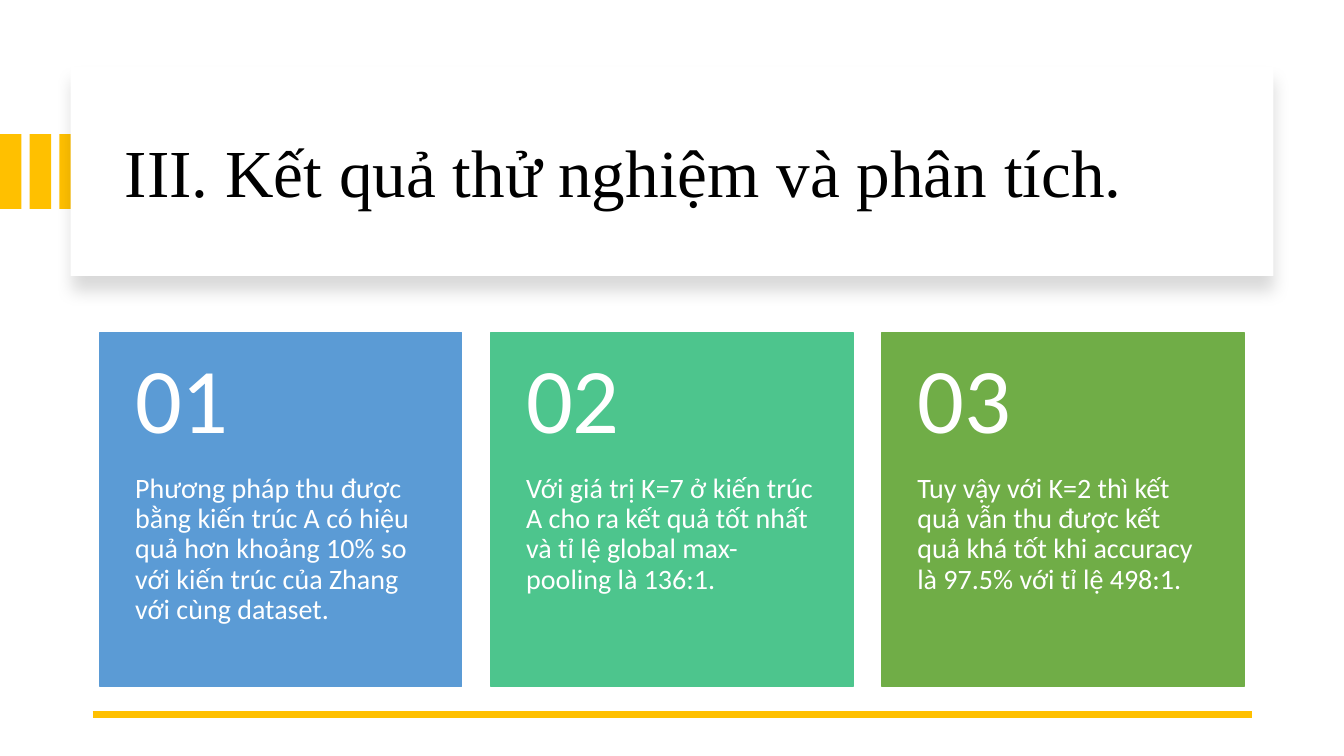
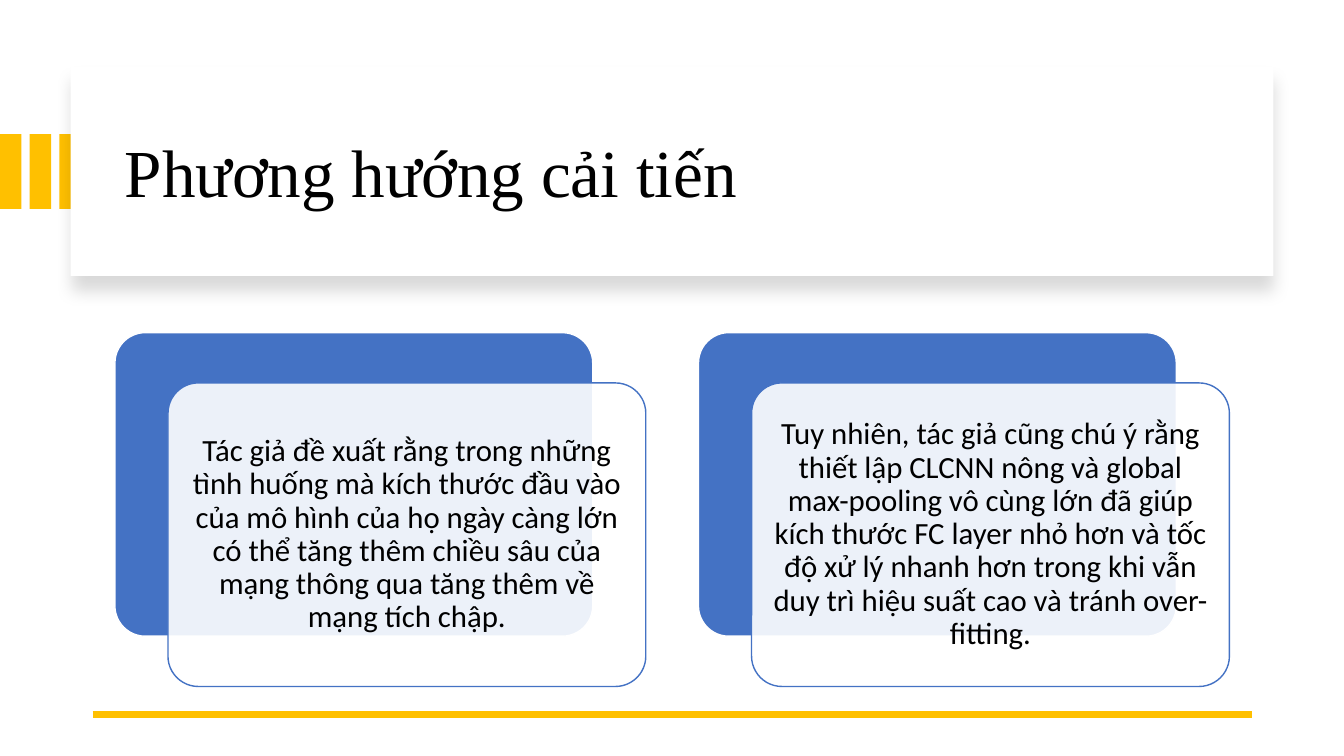
"""Builds two slides on test results and further work."""
from lxml.etree import SubElement as Sub
from pptx import Presentation
from pptx.dml.color import RGBColor
from pptx.enum.shapes import MSO_CONNECTOR as Link, MSO_SHAPE as Kind
from pptx.enum.text import MSO_ANCHOR as Anchor, PP_ALIGN as Align
from pptx.oxml.ns import qn
from pptx.util import Inches, Pt

WIDE, HIGH = Inches(13.33), Inches(7.5)

GOLD = RGBColor(0xFF, 0xC0, 0x00)
WHITE = RGBColor(0xFF, 0xFF, 0xFF)
BLACK = RGBColor(0x00, 0x00, 0x00)
SKY = RGBColor(0x5B, 0x9B, 0xD5)
MINT = RGBColor(0x4D, 0xC5, 0x8D)
LEAF = RGBColor(0x70, 0xAD, 0x47)
BLUE = RGBColor(0x44, 0x72, 0xC4)

SERIF, SANS = "Times New Roman", "Calibri"
TOP = 44

CARDS = [
    (SKY, "01", "Phương pháp thu được bằng kiến trúc A có hiệu quả hơn khoảng 10% "
                "so với kiến trúc của Zhang với cùng dataset."),
    (MINT, "02", "Với giá trị K=7 ở kiến trúc A cho ra kết quả tốt nhất "
                 "và tỉ lệ global max-pooling là 136:1."),
    (LEAF, "03", "Tuy vậy với K=2 thì kết quả vẫn thu được kết quả khá tốt "
                 "khi accuracy là 97.5% với tỉ lệ 498:1."),
]
PANELS = [
    "Tác giả đề xuất rằng trong những tình huống mà kích thước đầu vào "
    "của mô hình của họ ngày càng lớn có thể tăng thêm chiều sâu của mạng "
    "thông qua tăng thêm về mạng tích chập.",
    "Tuy nhiên, tác giả cũng chú ý rằng thiết lập CLCNN nông và global "
    "max-pooling vô cùng lớn đã giúp kích thước FC layer nhỏ hơn "
    "và tốc độ xử lý nhanh hơn trong khi vẫn duy trì hiệu suất cao "
    "và tránh over-fitting.",
]


def place(x, y, w, h):
    """Turn percentages of the slide into lengths."""
    return (int(WIDE * x / 100), int(HIGH * y / 100),
            int(WIDE * w / 100), int(HIGH * h / 100))


def add_box(slide, area, fill, edge=None, kind=Kind.RECTANGLE):
    """Add a filled shape without a shadow."""
    box = slide.shapes.add_shape(kind, *place(*area))
    box.shadow.inherit = False
    box.fill.solid()
    box.fill.fore_color.rgb = fill
    if edge is None:
        box.line.fill.background()
    else:
        box.line.color.rgb = edge
        box.line.width = Pt(1)
    if kind == Kind.ROUNDED_RECTANGLE:
        box.adjustments[0] = 0.1
    return box


def write(shape, text, size, color, font=SANS, pads=(0.1, 0.05, 0.1, 0.05),
          anchor=Anchor.MIDDLE, align=Align.LEFT):
    """Set one paragraph of text in a shape."""
    frame = shape.text_frame
    frame.word_wrap = True
    frame.vertical_anchor = anchor
    (frame.margin_left, frame.margin_top,
     frame.margin_right, frame.margin_bottom) = map(Inches, pads)
    para = frame.paragraphs[0]
    para.alignment = align
    para.line_spacing = 0.9
    run = para.add_run()
    run.text = text
    run.font.size = Pt(size)
    run.font.name = font
    run.font.color.rgb = color


def add_text(slide, area, *args, **style):
    """Add a text box."""
    write(slide.shapes.add_textbox(*place(*area)), *args, **style)


def cast_shade(shape):
    """Give a shape a soft shadow straight below."""
    list_ = shape._element.spPr.find(qn("a:effectLst"))
    shade = Sub(list_, qn("a:outerShdw"), blurRad=str(Pt(11)), dist=str(Pt(10)),
                dir="5400000", algn="t", rotWithShape="0")
    tint = Sub(shade, qn("a:srgbClr"), val=str(BLACK))
    Sub(tint, qn("a:alpha"), val="15000")


def fade(shape, share):
    """Make a solid fill partly opaque."""
    tint = shape._element.spPr.find(qn("a:solidFill"))[0]
    Sub(tint, qn("a:alpha"), val=str(share * 1000))


def add_rule(slide, x, y, w):
    """Draw the gold line at the foot."""
    left, top, width, _ = place(x, y, w, 0)
    rule = slide.shapes.add_connector(Link.STRAIGHT, left, top, left + width, top)
    rule.line.color.rgb = GOLD
    rule.line.width = Pt(4.5)
    Sub(rule._element.spPr, qn("a:effectLst"))


def start_slide(deck, title):
    """Add a blank slide with the shared bars, title and rule."""
    slide = deck.slides.add_slide(deck.slide_layouts[6])
    for col in range(3):
        add_box(slide, (2.21 * col, 17.75, 1.6, 9.9), GOLD)
    cast_shade(add_box(slide, (5.25, 8.9, 89.5, 27.6), WHITE))
    add_text(slide, (8.55, 11.9, 82, 22.7), title, 48, BLACK, font=SERIF)
    add_rule(slide, 6.9, 94.5, 86.25)
    return slide


def add_card(slide, col, fill, mark, text):
    """Add a numbered card in a column."""
    x, wide, high = 7.43 + 29.1 * col, 26.93, 46.8
    head = 0.4 * high
    add_box(slide, (x, TOP, wide, high), fill, fill)
    add_text(slide, (x, TOP + head, wide, high - head), text, 20, WHITE,
             pads=(0.35, 0, 0.35, 0.36), anchor=Anchor.TOP)
    add_text(slide, (x, TOP, wide, head), mark, 66, WHITE,
             pads=(0.35, 0.18, 0.35, 0.18))


def add_panel(slide, col, text):
    """Add a clear panel over a blue one in a column."""
    x, wide, high = 8.55 + 43.42 * col, 35.55, 40.15
    round_ = Kind.ROUNDED_RECTANGLE
    add_box(slide, (x, TOP, wide, high), BLUE, WHITE, round_)
    front = add_box(slide, (x + 3.95, TOP + 6.65, wide, high), WHITE, BLUE, round_)
    fade(front, 90)
    write(front, text, 22, BLACK, pads=(0.09,) * 4, align=Align.CENTER)


def main():
    """Build and save the deck."""
    deck = Presentation()
    deck.slide_width, deck.slide_height = WIDE, HIGH
    slide = start_slide(deck, "III. Kết quả thử nghiệm và phân tích.")
    for col, card in enumerate(CARDS):
        add_card(slide, col, *card)
    slide = start_slide(deck, "Phương hướng cải tiến")
    for col, text in enumerate(PANELS):
        add_panel(slide, col, text)
    deck.save("out.pptx")


if __name__ == "__main__":
    main()
